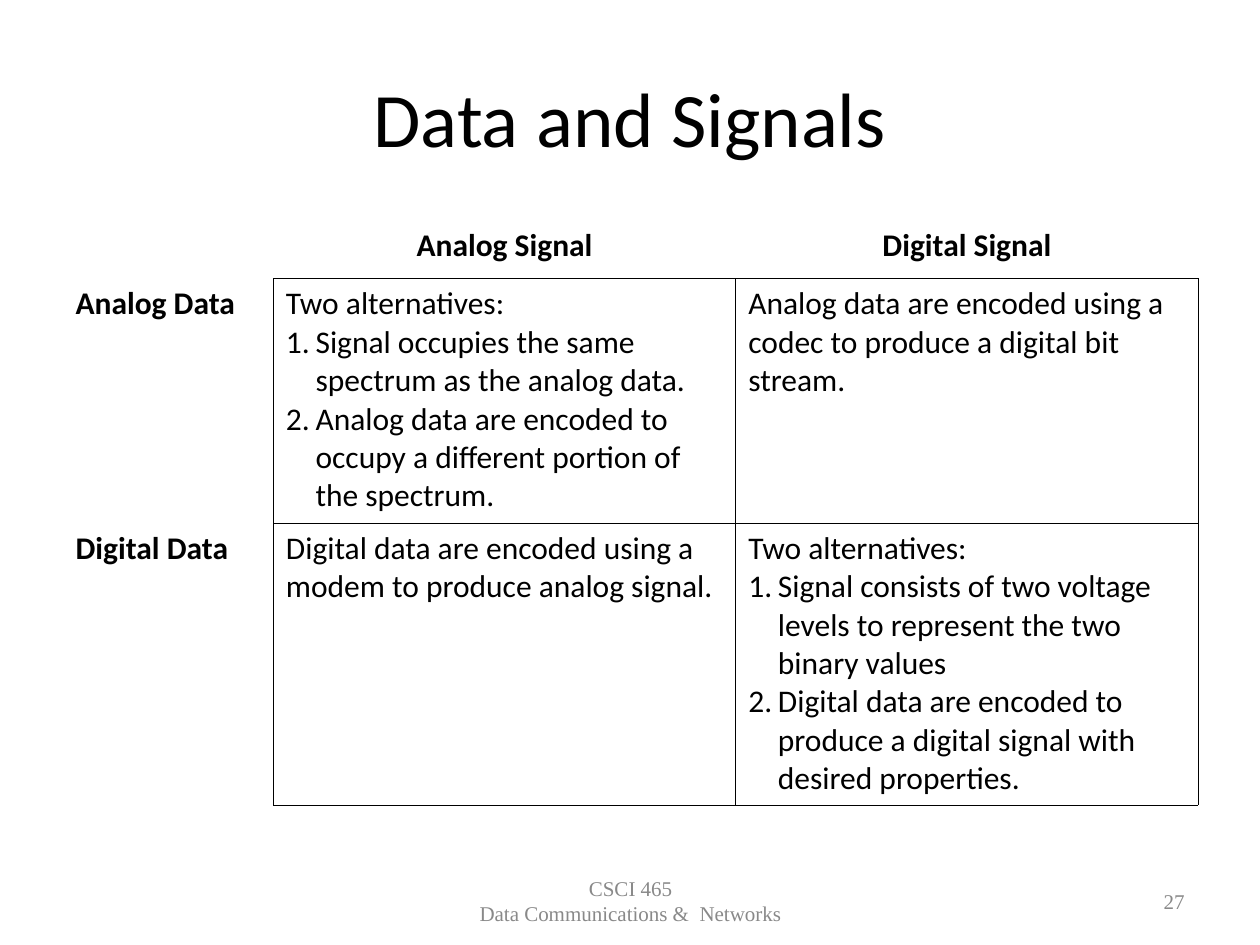
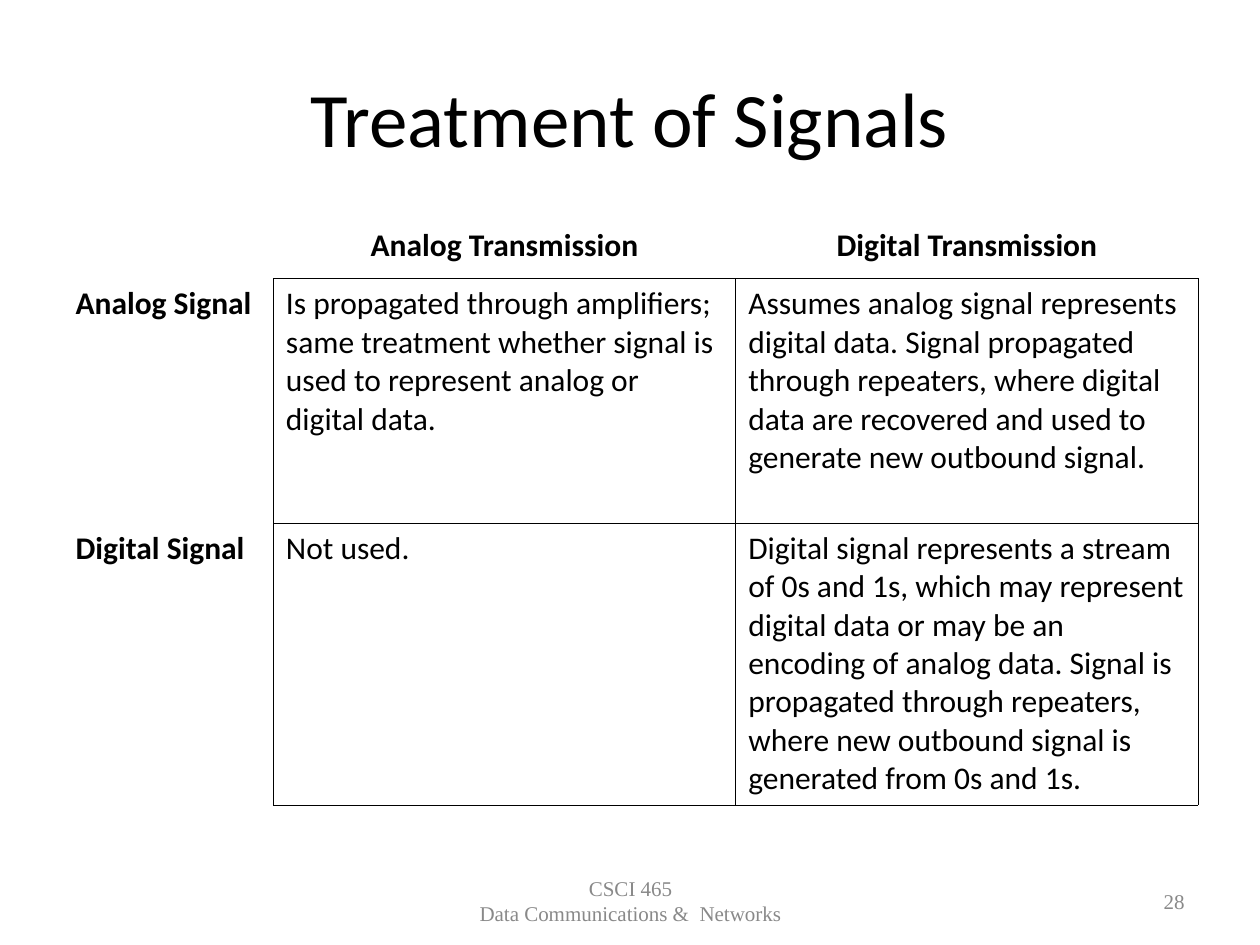
from lxml import etree
from pptx import Presentation
from pptx.dml.color import RGBColor
from pptx.enum.text import MSO_ANCHOR, PP_ALIGN
from pptx.oxml.ns import qn
from pptx.util import Inches, Pt

LEFT, CENTER, RIGHT = PP_ALIGN.LEFT, PP_ALIGN.CENTER, PP_ALIGN.RIGHT
MIDDLE = MSO_ANCHOR.MIDDLE

BLACK = "000000"
GREY = "898989"
BODY_FONT = "Calibri"
FOOTER_FONT = "Times New Roman"
FOOTER_TEXT = "CSCI 465\nData Communications &  Networks"

TITLE_ONLY_LAYOUT = 5
COLUMN_WIDTHS = (1.67, 3.67, 3.67)
ROW_HEIGHTS = (0.46, 1.94, 2.24)
BORDER_WIDTH = 0.45
NUMBER_INDENT = 0.235

# Each cell is a list of paragraphs; a tuple inside it is a numbered list.
DATA_AND_SIGNALS = [
    [[], ["Analog Signal"], ["Digital Signal"]],
    [
        ["Analog Data"],
        ["Two alternatives:",
         ("Signal occupies the same spectrum as the analog data.",
          "Analog data are encoded to occupy a different portion of the spectrum.")],
        ["Analog data are encoded using a codec to produce a digital bit stream."],
    ],
    [
        ["Digital Data"],
        ["Digital data are encoded using a modem to produce analog signal."],
        ["Two alternatives:",
         ("Signal consists of two voltage levels to represent the two binary values",
          "Digital data are encoded to produce a digital signal with desired properties.")],
    ],
]

TREATMENT_OF_SIGNALS = [
    [[], ["Analog Transmission"], ["Digital Transmission"]],
    [
        ["Analog Signal"],
        ["Is propagated through amplifiers; same treatment whether signal is used "
         "to represent analog or digital data."],
        ["Assumes analog signal represents digital data. Signal propagated through "
         "repeaters, where digital data are recovered and used to generate new "
         "outbound signal."],
    ],
    [
        ["Digital Signal"],
        ["Not used."],
        ["Digital signal represents a stream of 0s and 1s, which may represent "
         "digital data or may be an encoding of analog data. Signal is propagated "
         "through repeaters, where new outbound signal is generated from 0s and 1s."],
    ],
]


def color(hex_string):
    return RGBColor.from_string(hex_string)


def format_paragraph(paragraph, size, font_name, hex_string, alignment, bold=False):
    paragraph.alignment = alignment
    font = paragraph.font
    font.size = Pt(size)
    font.name = font_name
    font.bold = bold
    font.color.rgb = color(hex_string)


def add_numbering(paragraph):
    properties = paragraph._p.get_or_add_pPr()
    properties.set("marL", str(Inches(NUMBER_INDENT)))
    properties.set("indent", str(-Inches(NUMBER_INDENT)))
    etree.SubElement(properties, qn("a:buAutoNum"), type="arabicPeriod")


def set_title(slide, text):
    title = slide.shapes.title
    title.left, title.top = Inches(0.5), Inches(0.3)
    title.width, title.height = Inches(9), Inches(1.25)
    title.text_frame.text = text
    title.text_frame.vertical_anchor = MIDDLE
    format_paragraph(title.text_frame.paragraphs[0], 44, BODY_FONT, BLACK, CENTER)


def set_borders(cell, visible_sides):
    """Draw the sides named in visible_sides and hide the others."""
    properties = cell._tc.get_or_add_tcPr()
    for position, side in enumerate("LRTB"):
        line = etree.Element(qn(f"a:ln{side}"), w=str(Pt(BORDER_WIDTH)))
        if side in visible_sides:
            fill = etree.SubElement(line, qn("a:solidFill"))
            etree.SubElement(fill, qn("a:srgbClr"), val=BLACK)
        else:
            etree.SubElement(line, qn("a:noFill"))
        properties.insert(position, line)


def fill_cell(cell, content, alignment, bold):
    entries = []
    for item in content:
        numbered = isinstance(item, tuple)
        entries += [(text, numbered) for text in (item if numbered else (item,))]
    for index, (text, numbered) in enumerate(entries):
        frame = cell.text_frame
        paragraph = frame.add_paragraph() if index else frame.paragraphs[0]
        paragraph.text = text
        if numbered:
            add_numbering(paragraph)
        format_paragraph(paragraph, 18, BODY_FONT, BLACK, alignment, bold)


def add_comparison_table(slide, rows):
    frame = slide.shapes.add_table(
        len(ROW_HEIGHTS), len(COLUMN_WIDTHS), Inches(0.5), Inches(1.75),
        Inches(sum(COLUMN_WIDTHS)), Inches(sum(ROW_HEIGHTS)))
    table = frame.table
    table.first_row = table.horz_banding = False
    for column, width in zip(table.columns, COLUMN_WIDTHS):
        column.width = Inches(width)
    for row, height in zip(table.rows, ROW_HEIGHTS):
        row.height = Inches(height)

    for row_index, row in enumerate(rows):
        for column_index, content in enumerate(row):
            cell = table.cell(row_index, column_index)
            is_header, is_label = row_index == 0, column_index == 0
            fill_cell(cell, content, CENTER if is_header else LEFT,
                      bold=is_header or is_label)
            cell.fill.background()
            # Only the body cells are boxed; headings share the adjoining edge.
            if is_header:
                sides = "" if is_label else "B"
            else:
                sides = "R" if is_label else "LRTB"
            set_borders(cell, sides)


def add_footer_text(slide, text, left, width, alignment):
    box = slide.shapes.add_textbox(
        Inches(left), Inches(6.95), Inches(width), Inches(0.4))
    frame = box.text_frame
    frame.word_wrap = True
    frame.vertical_anchor = MIDDLE
    paragraph = frame.paragraphs[0]
    paragraph.text = text
    format_paragraph(paragraph, 12, FOOTER_FONT, GREY, alignment)


def add_table_slide(presentation, title, rows, number):
    layout = presentation.slide_layouts[TITLE_ONLY_LAYOUT]
    slide = presentation.slides.add_slide(layout)
    set_title(slide, title)
    add_comparison_table(slide, rows)
    add_footer_text(slide, FOOTER_TEXT, 3.42, 3.17, CENTER)
    add_footer_text(slide, str(number), 7.17, 2.33, RIGHT)


def main():
    presentation = Presentation()
    presentation.slide_width = Inches(10)
    presentation.slide_height = Inches(7.5)
    add_table_slide(presentation, "Data and Signals", DATA_AND_SIGNALS, 27)
    add_table_slide(presentation, "Treatment of Signals", TREATMENT_OF_SIGNALS, 28)
    presentation.save("out.pptx")


if __name__ == "__main__":
    main()
